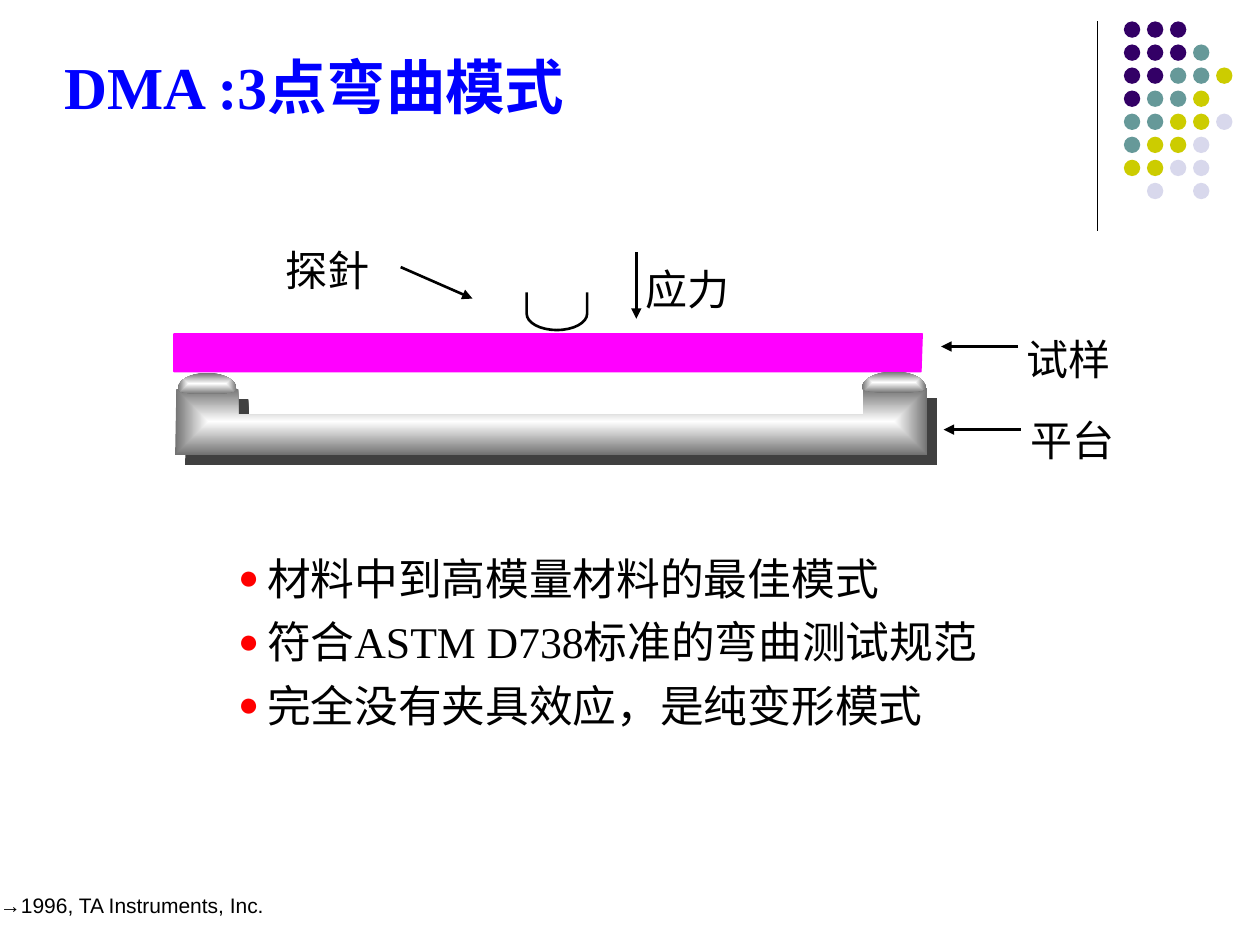
import math
from dataclasses import dataclass

import lxml.etree
import pptx
import pptx.dml.color
import pptx.enum.shapes
import pptx.enum.text
import pptx.oxml.ns
import pptx.util

Inches = pptx.util.Inches
Pt = pptx.util.Pt
RGB = pptx.dml.color.RGBColor.from_string
qn = pptx.oxml.ns.qn


@dataclass(frozen=True)
class Theme:
    black = RGB("000000")
    white = RGB("FFFFFF")
    title = RGB("0000FF")
    sample = RGB("FF00FF")
    steel = RGB("727272")
    shadow = "404040"
    bullet = "FF0000"
    purple = RGB("330066")
    teal = RGB("669999")
    olive = RGB("CCCC00")
    lilac = RGB("D8D8EC")
    serif = "Times New Roman"
    sans = "Arial"
    title_size = Pt(34)
    body_size = Pt(25)
    label_size = Pt(24)
    footer_size = Pt(12)
    thin = Pt(0.75)
    stroke = Pt(1.5)


theme = Theme()
deck = pptx.Presentation()
deck.slide_width = Inches(10)
deck.slide_height = Inches(7.5)
page = deck.slides.add_slide(deck.slide_layouts[6])


def half_ellipse(left, right, base, height, steps=16):
    """Points from left to right; a positive height bulges downwards."""
    middle, radius = (left + right) / 2, (right - left) / 2
    angles = [math.pi * step / steps for step in range(steps + 1)]
    return [(middle - radius * math.cos(a), base + height * math.sin(a)) for a in angles]


def add_outline(points, closed=True):
    corners = [(Inches(x), Inches(y)) for x, y in points]
    builder = page.shapes.build_freeform(*corners[0], scale=1.0)
    builder.add_line_segments(corners[1:], close=closed)
    outline = builder.convert_to_shape()
    outline.shadow.inherit = False
    return outline


# Corner dots: one letter per colour
dot_colors = {"P": theme.purple, "T": theme.teal, "Y": theme.olive, "L": theme.lilac}
dot_rows = ["PPP", "PPPT", "PPTTY", "PTTY", "TTYYL", "TYYL", "YYLL", " L L"]
dot_pitch = 0.183
for row, letters in enumerate(dot_rows):
    for column, letter in enumerate(letters):
        if letter in dot_colors:
            dot = page.shapes.add_shape(
                pptx.enum.shapes.MSO_SHAPE.OVAL,
                Inches(8.92 + column * dot_pitch), Inches(0.17 + row * dot_pitch),
                Inches(0.13), Inches(0.13))
            dot.shadow.inherit = False
            dot.fill.solid()
            dot.fill.fore_color.rgb = dot_colors[letter]
            dot.line.fill.background()

# Title, part labels and footer
top, bottom = pptx.enum.text.MSO_ANCHOR.TOP, pptx.enum.text.MSO_ANCHOR.BOTTOM
texts = [
    ("→1996, TA Instruments, Inc.", (0, 7.08, 2.2, 0.22),
     theme.sans, theme.footer_size, theme.black, False, top),
    ("DMA :3点弯曲模式", (0.51, 0.21, 8.89, 0.75),
     theme.serif, theme.title_size, theme.title, True, bottom),
]
for words, place in [
    ("探針", (2.27, 1.94, 1.06, 0.4)),
    ("应力", (5.12, 2.09, 1.02, 0.4)),
    ("试样", (8.15, 2.65, 1.33, 0.4)),
    ("平台", (8.18, 3.29, 1.46, 0.4)),
]:
    texts.append((words, place, theme.serif, theme.label_size, theme.black, False, top))

# Bullet list
bullet_lines = "\n".join([
    "材料中到高模量材料的最佳模式",
    "符合ASTM D738标准的弯曲测试规范",
    "完全没有夹具效应，是纯变形模式",
])
texts.append((bullet_lines, (1.44, 4.38, 6.7, 1.4),
              theme.serif, theme.body_size, theme.black, False, top))

for words, place, font_name, size, color, bold, anchor in texts:
    box = page.shapes.add_textbox(*[Inches(value) for value in place])
    frame = box.text_frame
    frame.text = words
    frame.word_wrap = True
    frame.vertical_anchor = anchor
    frame.margin_left = frame.margin_right = frame.margin_top = frame.margin_bottom = 0
    for number, para in enumerate(frame.paragraphs):
        if words == bullet_lines:
            para.space_before = Pt(3.1 if number else 0)
            para.space_after = Pt(3.1)
            settings = para._p.get_or_add_pPr()
            settings.set("marL", str(Inches(0.68)))
            settings.set("indent", str(Inches(-0.23)))
            bullet_color = lxml.etree.SubElement(settings, qn("a:buClr"))
            lxml.etree.SubElement(bullet_color, qn("a:srgbClr"), val=theme.bullet)
            lxml.etree.SubElement(settings, qn("a:buSzPct"), val="80000")
            lxml.etree.SubElement(settings, qn("a:buFont"), typeface=theme.serif)
            lxml.etree.SubElement(settings, qn("a:buChar"), char="●")
        for span in para.runs:
            span.font.name = font_name
            span.font.size = size
            span.font.bold = bold
            span.font.color.rgb = color

# Header rule and label arrows
for start_x, start_y, end_x, end_y, width, arrow in [
    (8.71, 0.17, 8.71, 1.83, theme.thin, False),
    (3.18, 2.12, 3.75, 2.37, theme.stroke, True),
    (5.05, 2.0, 5.05, 2.53, theme.stroke, True),
    (8.08, 2.75, 7.47, 2.75, theme.stroke, True),
    (8.1, 3.41, 7.49, 3.41, theme.stroke, True),
]:
    line = page.shapes.add_connector(
        pptx.enum.shapes.MSO_CONNECTOR.STRAIGHT,
        Inches(start_x), Inches(start_y), Inches(end_x), Inches(end_y))
    line.line.color.rgb = theme.black
    line.line.width = width
    if arrow:
        lxml.etree.SubElement(line.line._get_or_add_ln(), qn("a:tailEnd"), type="triangle")
    lxml.etree.SubElement(line._element.spPr, qn("a:effectLst"))

# Sample bar
sample = add_outline([(7.32, 2.65), (1.38, 2.65), (1.38, 2.95), (7.31, 2.95)])
sample.fill.solid()
sample.fill.fore_color.rgb = theme.sample
sample.line.color.rgb = theme.sample
sample.line.width = theme.thin

# Probe
probe = add_outline(
    [(4.18, 2.32)] + half_ellipse(4.18, 4.66, 2.49, 0.13) + [(4.66, 2.32)], closed=False)
probe.fill.background()
probe.line.color.rgb = theme.black
probe.line.width = theme.stroke

# Platform and its two rounded supports
platform = add_outline([
    (1.39, 3.61), (1.4, 3.09), (1.89, 3.09), (1.89, 3.29),
    (6.85, 3.29), (6.85, 3.08), (7.36, 3.08), (7.36, 3.61)])
steel_parts = [platform]
for left, right, base in [(1.41, 1.88, 3.09), (6.84, 7.35, 3.08)]:
    crown = half_ellipse(left, right, base, -0.13)
    underside = half_ellipse(left, right, base, 0.04)
    steel_parts.append(add_outline(crown + underside[-2:0:-1]))

for part in steel_parts:
    part.line.fill.background()
    part.fill.gradient()
    for stop, position, color in zip(
            part.fill.gradient_stops, (0, 1), (theme.white, theme.steel)):
        stop.position = position
        stop.color.rgb = color
    gradient = part._element.spPr.find(qn("a:gradFill"))
    linear = gradient.find(qn("a:lin"))
    radial = lxml.etree.Element(qn("a:path"), {"path": "rect"})
    lxml.etree.SubElement(radial, qn("a:fillToRect"),
                          {side: "50000" for side in "ltrb"})
    gradient.replace(linear, radial)

effects = platform._element.spPr.find(qn("a:effectLst"))
drop = lxml.etree.SubElement(effects, qn("a:outerShdw"), dist=str(Pt(8.1)),
                             dir=str(45 * 60000), algn="ctr", rotWithShape="0")
lxml.etree.SubElement(drop, qn("a:srgbClr"), val=theme.shadow)

deck.save("out.pptx")
